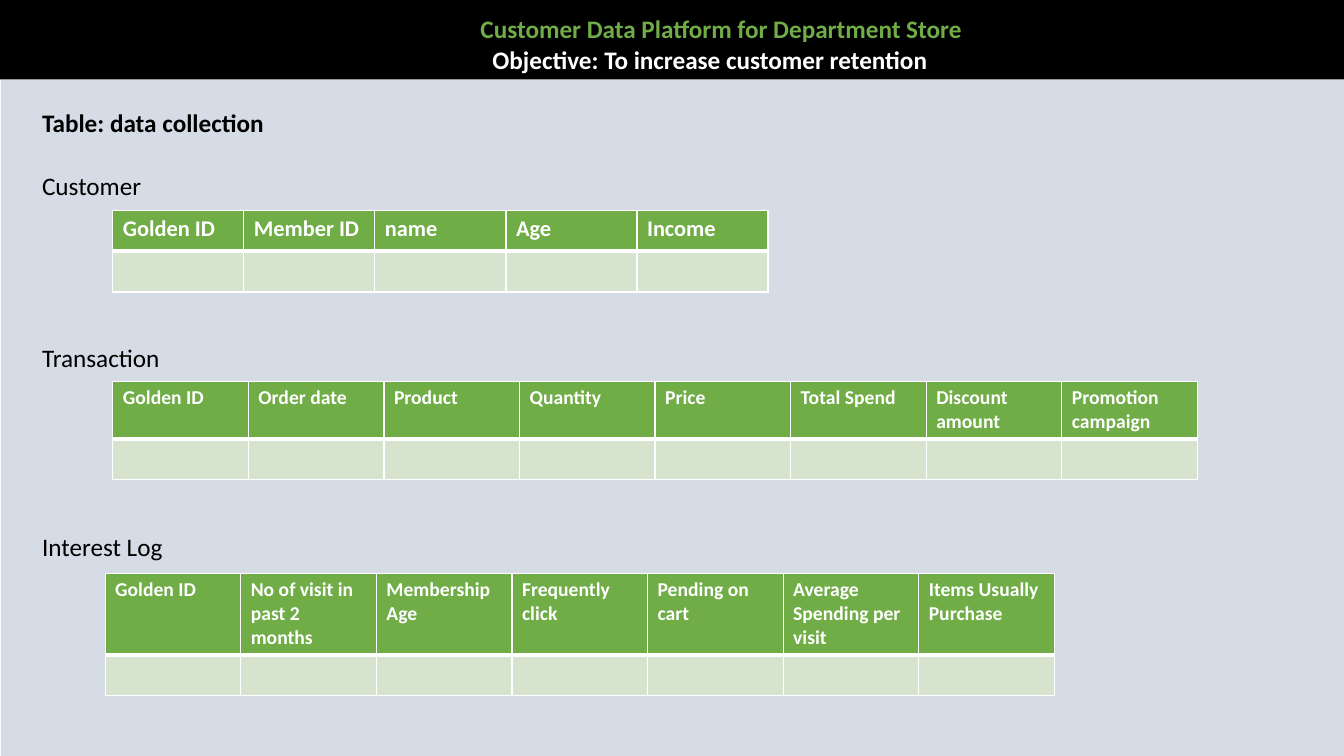
import pptx
import pptx.util
import pptx.dml.color
import pptx.enum.shapes
import pptx.enum.text
import pptx.oxml.ns
import lxml.etree

Pt = pptx.util.Pt
COLORS = {
    "panel": "D6DCE5",
    "black": "000000",
    "white": "FFFFFF",
    "green": "70AD47",
    "pale": "D5E3CF",
}


def rgb(name):
    return pptx.dml.color.RGBColor.from_string(COLORS[name])


class Deck:
    font = "Calibri"

    def __init__(self, prs):
        self.s = prs.slides.add_slide(prs.slide_layouts[5])

    def run(self, p, text, size, color, bold):
        r = p.add_run()
        r.text = text
        r.font.name = self.font
        r.font.size = Pt(size)
        r.font.bold = bold
        r.font.color.rgb = rgb(color)

    def rect(self, x, y, w, h, color):
        kind = pptx.enum.shapes.MSO_SHAPE.RECTANGLE
        sp = self.s.shapes.add_shape(kind, Pt(x), Pt(y), Pt(w), Pt(h))
        sp.shadow.inherit = False
        sp.fill.solid()
        sp.fill.fore_color.rgb = rgb(color)
        sp.line.fill.background()

    def fill_text(self, sp, text, color, bold, wrap):
        tf = sp.text_frame
        tf.word_wrap = wrap
        tf.auto_size = pptx.enum.text.MSO_AUTO_SIZE.NONE
        tf.vertical_anchor = pptx.enum.text.MSO_ANCHOR.TOP
        p = tf.paragraphs[0]
        p.alignment = pptx.enum.text.PP_ALIGN.LEFT
        self.run(p, text, 18, color, bold)

    def title(self, x, y, w, h, text, color):
        sp = self.s.shapes.title
        sp.left, sp.top, sp.width, sp.height = Pt(x), Pt(y), Pt(w), Pt(h)
        self.fill_text(sp, text, color, True, False)
        self.s.shapes._spTree.append(sp._element)

    def text(self, x, y, w, h, text, color="black", bold=False, wrap=True):
        sp = self.s.shapes.add_textbox(Pt(x), Pt(y), Pt(w), Pt(h))
        self.fill_text(sp, text, color, bold, wrap)

    def cell(self, cell, color, top, bottom):
        tcPr = cell._tc.get_or_add_tcPr()
        qn = pptx.oxml.ns.qn
        for side, width in (("L", 1), ("R", 1), ("T", top), ("B", bottom)):
            ln = lxml.etree.SubElement(tcPr, qn("a:ln" + side), w=str(Pt(width)))
            fill = lxml.etree.SubElement(ln, qn("a:solidFill"))
            lxml.etree.SubElement(fill, qn("a:srgbClr"), val=COLORS["white"])
        cell.fill.solid()
        cell.fill.fore_color.rgb = rgb(color)

    def table(self, x, y, w, head_h, row_h, size, heads):
        n = len(heads)
        frame = self.s.shapes.add_table(2, n, Pt(x), Pt(y), Pt(w), Pt(head_h + row_h))
        tbl = frame.table
        tbl.rows[0].height, tbl.rows[1].height = Pt(head_h), Pt(row_h)
        for i, head in enumerate(heads):
            tbl.columns[i].width = Pt(w / n)
            self.cell(tbl.cell(0, i), "green", 1, 3)
            self.cell(tbl.cell(1, i), "pale", 3, 1)
            p = tbl.cell(0, i).text_frame.paragraphs[0]
            self.run(p, head, size, "white", True)


TABLES = [
    ("Customer", 118.1, 80.6, 150.2, 468, 29.2, 16,
     ["Golden ID", "Member ID", "name", "Age", "Income"]),
    ("Transaction", 240.8, 80.6, 272.2, 774.7, 40.9, 14,
     ["Golden ID", "Order date", "Product", "Quantity", "Price",
      "Total Spend", "Discount amount", "Promotion campaign"]),
    ("Interest Log", 376.2, 75.1, 409.4, 678.2, 57.8, 14,
     ["Golden ID", "No of visit in past 2 months", "Membership Age",
      "Frequently click", "Pending on cart", "Average Spending per visit",
      "Items Usually Purchase"]),
]

prs = pptx.Presentation()
prs.slide_width, prs.slide_height = Pt(960), Pt(540)
deck = Deck(prs)

deck.rect(0.6, 56.7, 959.4, 483.3, "panel")
deck.rect(0, 0, 960, 56.7, "black")
deck.title(336, 5.9, 362, 29, "Customer Data Platform for Department Store", "green")
deck.text(344.6, 28.1, 328, 29, "Objective: To increase customer retention",
          "white", True, False)
deck.text(23, 73.4, 263, 29, "Table: data collection", bold=True)

for name, label_y, x, y, w, head_h, size, heads in TABLES:
    deck.text(23, label_y, 136, 29, name)
    deck.table(x, y, w, head_h, 29.2, size, heads)

prs.save("out.pptx")
